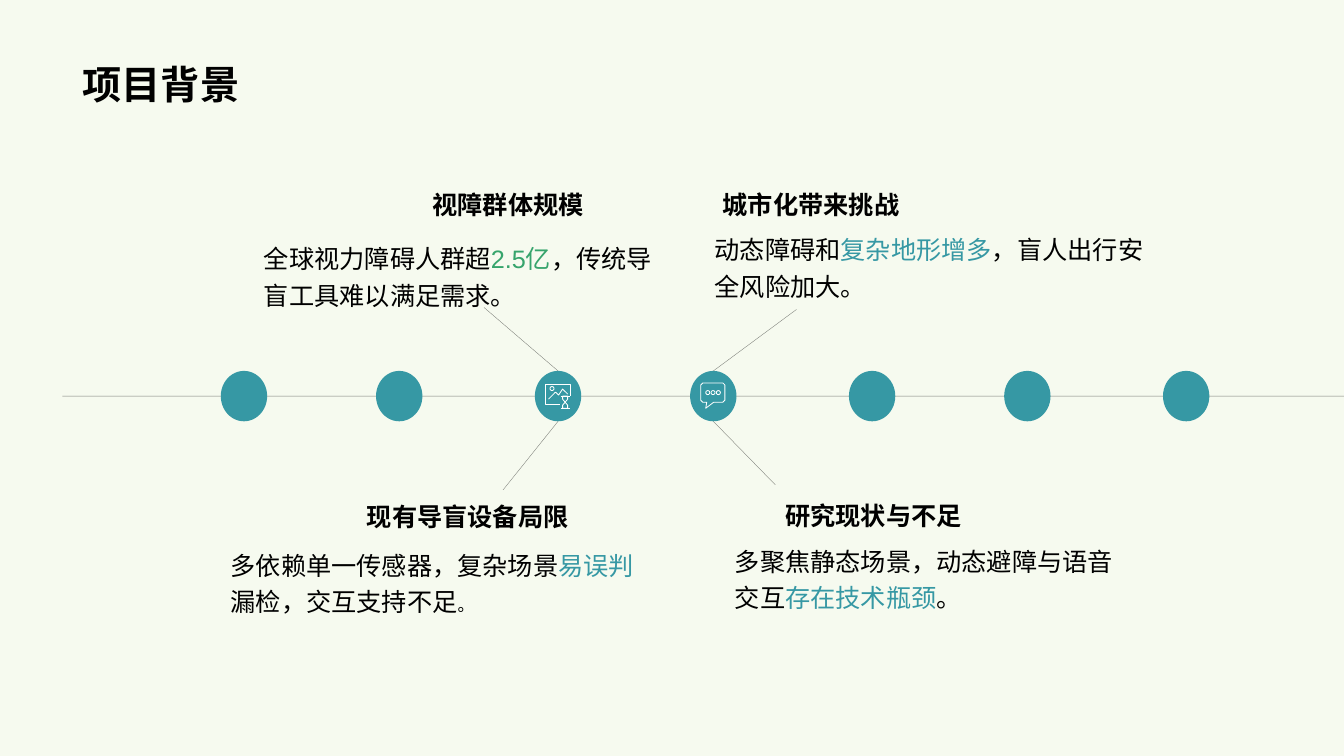
import pptx
import pptx.dml.color
import pptx.enum.shapes
import pptx.enum.text
import pptx.oxml
import pptx.oxml.ns
import pptx.util
from lxml import etree

COLORS = {"paper": "F6FAEF", "ink": "000000", "teal": "3698A4", "green": "36A46C", "white": "FFFFFF"}
RGB = {name: pptx.dml.color.RGBColor.from_string(value) for name, value in COLORS.items()}
ANCHOR = pptx.enum.text.MSO_ANCHOR
OVAL = pptx.enum.shapes.MSO_SHAPE.OVAL
STRAIGHT = pptx.enum.shapes.MSO_CONNECTOR.STRAIGHT
COLUMNS, ROWS = 1333, 750
CELL = pptx.util.Inches(0.01)

deck = pptx.Presentation()
deck.slide_width, deck.slide_height = COLUMNS * CELL, ROWS * CELL
slide = deck.slides.add_slide(deck.slide_layouts[5])
slide.background.fill.solid()
slide.background.fill.fore_color.rgb = RGB["paper"]


def grid(*cells):
    return [round(cell * CELL) for cell in cells]


def write(frame, runs, anchor, spacing, bold, size=18):
    frame_format = {"word_wrap": True, "auto_size": pptx.enum.text.MSO_AUTO_SIZE.NONE, "vertical_anchor": anchor}
    for name, value in frame_format.items():
        setattr(frame, name, value)
    paragraph = frame.paragraphs[0]
    paragraph.alignment = pptx.enum.text.PP_ALIGN.LEFT
    paragraph.line_spacing = spacing
    for words, color, *own_size in runs:
        run = paragraph.add_run()
        run.text = words
        font_format = {"name": "Arial", "size": pptx.util.Pt(own_size[0] if own_size else size), "bold": bold}
        for name, value in font_format.items():
            setattr(run.font, name, value)
        if color == "green":
            run.font.fill.gradient()
            run.font.fill.gradient_angle = 315
            for stop, stop_color in zip(run.font.fill.gradient_stops, ("green", "teal")):
                stop.color.rgb = RGB[stop_color]
        else:
            run.font.color.rgb = RGB[color]


title = slide.shapes.title
title.left, title.top, title.width, title.height = grid(72, 14, 1188, 98)
write(title.text_frame, [("项目背景", "ink")], ANCHOR.BOTTOM, 1.0, True, 28)

node_top, node_width, node_height = 368, 46, 50
node_lefts = [219 + 311.5 * (i // 2) + 154 * (i % 2) for i in range(7)]
node_bottom = node_top + node_height
axis = node_top + node_height / 2
scale_hub, city_hub = [left + node_width / 2 for left in node_lefts[2:4]]

timeline = [
    (62, axis, 1395, axis),
    (480, 305, scale_hub, node_top),
    (scale_hub, node_bottom, 499, 486),
    (790, 307, city_hub, node_top),
    (769, 481, city_hub, node_bottom),
]
for ends in timeline:
    branch = slide.shapes.add_connector(STRAIGHT, *grid(*ends))
    branch.line.width = pptx.util.Pt(0.25)
    branch.line.color.rgb = RGB["ink"]
    tint = branch.line._get_or_add_ln().find(".//" + pptx.oxml.ns.qn("a:srgbClr"))
    etree.SubElement(tint, pptx.oxml.ns.qn("a:alpha"), val="50000")
    etree.SubElement(branch._element.spPr, pptx.oxml.ns.qn("a:effectLst"))

for left in node_lefts:
    node = slide.shapes.add_shape(OVAL, *grid(left, node_top, node_width, node_height))
    node.shadow.inherit = False
    node.fill.solid()
    node.fill.fore_color.rgb = RGB["teal"]
    node.line.fill.background()

icon_strokes = [
    ([(555, 401), (541, 401), (541, 381), (566, 381), (566, 393)], False),
    ([(544, 396), (551, 389), (554, 392), (558, 386), (563, 391)], False),
    ([(556, 393), (565, 393)], False),
    ([(556, 405), (565, 405)], False),
    ([(558, 393), (563, 393), (563, 396), (558, 402), (558, 405), (563, 405), (563, 402), (558, 396)], True),
    ([(697, 380), (717, 380), (719, 382), (719, 397), (717, 399), (708, 399),
      (700, 405), (701, 399), (697, 399), (695, 397), (695, 382)], True),
]
icon_parts = []
for (start, *corners), closed in icon_strokes:
    outline = slide.shapes.build_freeform(*start, scale=CELL)
    outline.add_line_segments(corners, close=closed)
    icon_parts.append(outline.convert_to_shape())
for left, top in [(545.5, 383.5)] + [(700 + 5.25 * i, 387.5) for i in range(3)]:
    icon_parts.append(slide.shapes.add_shape(OVAL, *grid(left, top, 4, 4)))
for part in icon_parts:
    part.shadow.inherit = False
    part.fill.background()
    part.line.color.rgb = RGB["white"]
    part.line.width = pptx.util.Pt(0.6)

topics = [
    ("视障群体规模", (419, 123), (252, 231, 416),
     [("全球视力障碍人群超", "ink"), ("2.5亿", "green"), ("，传统导盲工具难以满足需求。", "ink")]),
    ("现有导盲设备局限", (354, 432), (219, 535, 440),
     [("多依赖单一传感器，复杂场景", "ink"), ("易误判", "teal"), ("漏检，交互支持不足", "ink"), ("。", "ink", 12)]),
    ("城市化带来挑战", (707, 123), (699, 222, 455),
     [("动态障碍和", "ink"), ("复杂地形增多", "teal"), ("，盲人出行安全风险加大。", "ink")]),
    ("研究现状与不足", (769, 431), (719, 531, 413),
     [("多聚焦静态场景，动态避障与语音交互", "ink"), ("存在技术瓶颈", "teal"), ("。", "ink")]),
]
for heading, heading_spot, detail_spot, detail in topics:
    heading_box = slide.shapes.add_textbox(*grid(*heading_spot, 249, 100))
    write(heading_box.text_frame, [(heading, "ink")], ANCHOR.BOTTOM, 1.0, True)
    detail_box = slide.shapes.add_textbox(*grid(*detail_spot, 110))
    write(detail_box.text_frame, detail, ANCHOR.TOP, 1.2, False)

deck.save("out.pptx")
